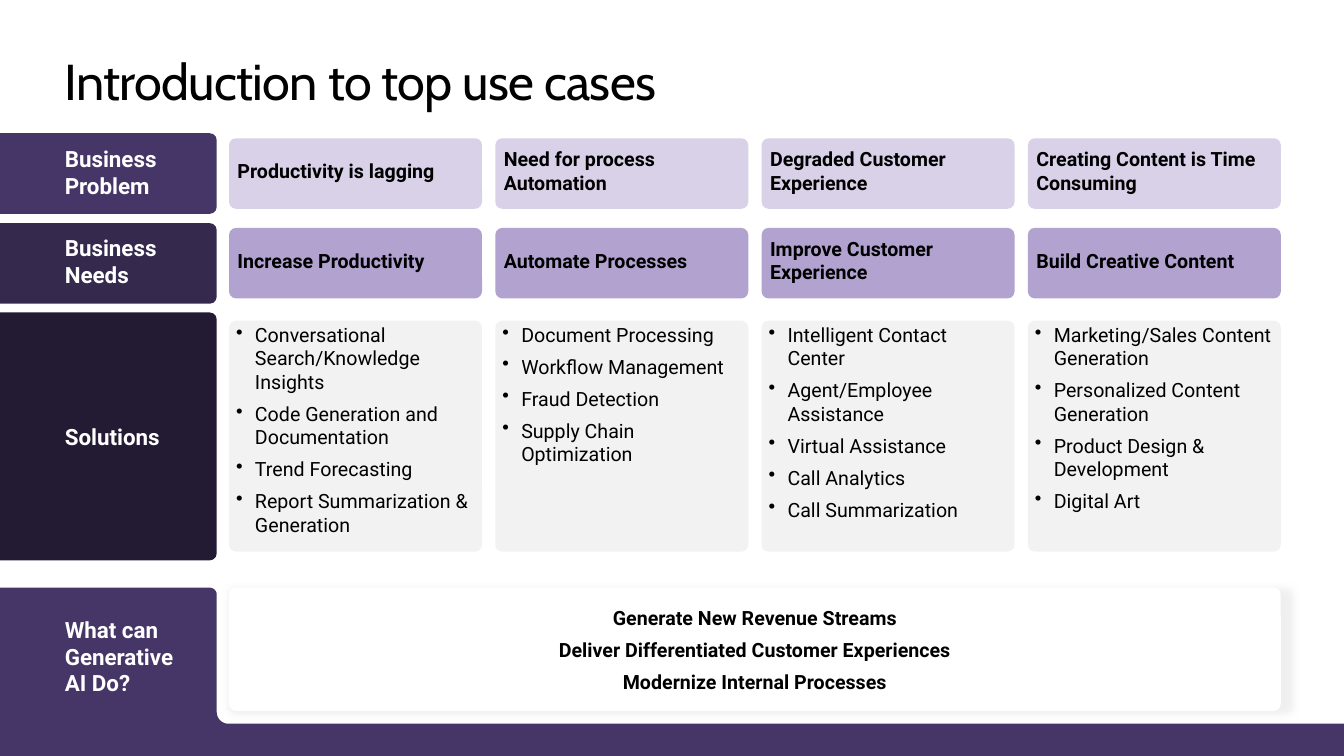
"""Build the slide that maps business problems to generative AI use cases."""

import math
from dataclasses import dataclass

import lxml.etree
import pptx
import pptx.dml.color
import pptx.enum.shapes
import pptx.enum.text
import pptx.oxml
import pptx.oxml.ns
import pptx.util

Pt = pptx.util.Pt
SHAPE = pptx.enum.shapes.MSO_SHAPE
ANCHOR = pptx.enum.text.MSO_ANCHOR
ALIGN = pptx.enum.text.PP_ALIGN

SLIDE_WIDTH, SLIDE_HEIGHT = 960, 540
TAB_WIDTH = 154.8
CORNER = 5
CARD_LEFT, CARD_WIDTH, CARD_PITCH = 163.6, 180.7, 190.2
PANEL_WIDTH = 3 * CARD_PITCH + CARD_WIDTH
FOOTER_TOP, FOOTER_BAR_TOP = 419.8, 517
BLACK, WHITE, PURPLE = "000000", "FFFFFF", "463668"


@dataclass
class Tab:
    label: str
    top: float
    height: float
    color: str
    label_middle: float


@dataclass
class Style:
    size: float = 14
    color: str = BLACK
    bold: bool = True
    family: str = "Roboto"
    align: ALIGN = ALIGN.LEFT
    anchor: ANCHOR = ANCHOR.MIDDLE
    bullets: bool = False


@dataclass
class CardRow:
    top: float
    height: float
    color: str
    style: Style
    insets: tuple[float, float]
    cards: list[list[str]]


BOLD = Style()
BULLETS = Style(bold=False, anchor=ANCHOR.TOP, bullets=True)
LABEL = Style(size=16, color=WHITE)

TABS = [
    Tab("Business Problem", 95.2, 57.6, PURPLE, 122.6),
    Tab("Business Needs", 159.4, 57.6, "35294E", 186.6),
    Tab("Solutions", 223.2, 177.1, "231B34", 311.8),
]
FOOTER_LABEL = "What can Generative AI Do?"
FOOTER_LABEL_MIDDLE = 468.6

ROWS = [
    CardRow(98.8, 50.4, "D8D1E7", BOLD, (4.6, 4), [
        ["Productivity is lagging"],
        ["Need for process Automation"],
        ["Degraded Customer Experience"],
        ["Creating Content is Time Consuming"],
    ]),
    CardRow(162.8, 50.4, "B1A2CF", BOLD, (4.6, 4), [
        ["Increase Productivity"],
        ["Automate Processes"],
        ["Improve Customer Experience"],
        ["Build Creative Content"],
    ]),
    CardRow(229, 165, "F2F2F2", BULLETS, (3.6, 0), [
        ["Conversational Search/Knowledge Insights", "Code Generation and Documentation",
         "Trend Forecasting", "Report Summarization & Generation"],
        ["Document Processing", "Workflow Management", "Fraud Detection",
         "Supply Chain Optimization"],
        ["Intelligent Contact Center", "Agent/Employee Assistance", "Virtual Assistance",
         "Call Analytics", "Call Summarization"],
        ["Marketing/Sales Content Generation", "Personalized Content Generation",
         "Product Design & Development", "Digital Art"],
    ]),
]
OUTCOMES = [
    "Generate New Revenue Streams",
    "Deliver Differentiated Customer Experiences",
    "Modernize Internal Processes",
]


def rgb(color: str) -> pptx.dml.color.RGBColor:
    """Turn a hex string into a colour."""
    return pptx.dml.color.RGBColor.from_string(color)


def paint(shape, color: str) -> None:
    """Give a shape a plain fill with no line and no shadow."""
    shape.shadow.inherit = False
    shape.fill.solid()
    shape.fill.fore_color.rgb = rgb(color)
    shape.line.fill.background()


def write(shape, lines: list[str], style: Style, side: float = 0, bottom: float = 0) -> None:
    """Fill a shape with one paragraph per line."""
    frame = shape.text_frame
    frame.word_wrap = True
    frame.vertical_anchor = style.anchor
    frame.margin_left = frame.margin_right = Pt(side)
    frame.margin_top, frame.margin_bottom = Pt(0), Pt(bottom)
    for index, line in enumerate(lines):
        paragraph = frame.add_paragraph() if index else frame.paragraphs[0]
        paragraph.add_run().text = line
        paragraph.alignment = style.align
        if index < len(lines) - 1:
            paragraph.space_after = Pt(6)
        if style.bullets:
            properties = paragraph._p.get_or_add_pPr()
            properties.set("marL", str(Pt(13.5)))
            properties.set("indent", str(Pt(-13.5)))
            bullet = lxml.etree.SubElement(properties, pptx.oxml.ns.qn("a:buChar"))
            bullet.set("char", "•")
        font = paragraph.font
        font.name, font.size, font.bold = style.family, Pt(style.size), style.bold
        font.color.rgb = rgb(style.color)


def add_card(slide, left: float, top: float, width: float, height: float, color: str):
    """Add a rounded card with the common corner radius."""
    card = slide.shapes.add_shape(
        SHAPE.ROUNDED_RECTANGLE, Pt(left), Pt(top), Pt(width), Pt(height))
    card.adjustments[0] = CORNER / min(width, height)
    paint(card, color)
    return card


def add_tab(slide, tab: Tab) -> None:
    """Add a tab on the left edge, rounded on its right side."""
    shape = slide.shapes.add_shape(
        SHAPE.ROUND_2_SAME_RECTANGLE,
        Pt((TAB_WIDTH - tab.height) / 2), Pt(tab.top + (tab.height - TAB_WIDTH) / 2),
        Pt(tab.height), Pt(TAB_WIDTH))
    shape.rotation = 90
    shape.adjustments[0] = CORNER / min(tab.height, TAB_WIDTH)
    paint(shape, tab.color)


def add_label(slide, label: str, middle: float) -> None:
    """Add a tab label centred on a height."""
    box = slide.shapes.add_textbox(Pt(46.3), Pt(middle - 30), Pt(95), Pt(60))
    write(box, [label], LABEL)


def arc(x: float, y: float, radius: float, start: int, end: int) -> list[tuple[float, float]]:
    """Return points along a quarter circle, angles in degrees."""
    angles = [math.radians(start + (end - start) * step / 12) for step in range(13)]
    return [(x + radius * math.cos(a), y + radius * math.sin(a)) for a in angles]


def add_footer(slide) -> None:
    """Add the last tab together with the bar along the bottom."""
    fillet = 8.4
    outline = [
        *arc(TAB_WIDTH - CORNER, FOOTER_TOP + CORNER, CORNER, -90, 0),
        *arc(TAB_WIDTH + fillet, FOOTER_BAR_TOP - fillet, fillet, 180, 90),
        (SLIDE_WIDTH, FOOTER_BAR_TOP), (SLIDE_WIDTH, SLIDE_HEIGHT), (0, SLIDE_HEIGHT),
    ]
    builder = slide.shapes.build_freeform(0, Pt(FOOTER_TOP))
    builder.add_line_segments([(Pt(x), Pt(y)) for x, y in outline], close=True)
    paint(builder.convert_to_shape(), PURPLE)


def add_outcomes(slide) -> None:
    """Add the white panel with its soft shadow."""
    panel = add_card(slide, CARD_LEFT, FOOTER_TOP, PANEL_WIDTH, 88, WHITE)
    effects = panel._element.spPr.find(pptx.oxml.ns.qn("a:effectLst"))
    effects.append(pptx.oxml.parse_xml(
        f'<a:outerShdw {pptx.oxml.ns.nsdecls("a")} blurRad="{Pt(5)}" dist="0" dir="0" '
        'sx="101000" sy="101000" algn="tl" rotWithShape="0">'
        '<a:srgbClr val="D9D9D9"><a:alpha val="40000"/></a:srgbClr></a:outerShdw>'))
    write(panel, OUTCOMES, Style(align=ALIGN.CENTER))


def main() -> None:
    """Draw the slide and save it."""
    deck = pptx.Presentation()
    deck.slide_width, deck.slide_height = Pt(SLIDE_WIDTH), Pt(SLIDE_HEIGHT)
    slide = deck.slides.add_slide(deck.slide_layouts[6])

    title = slide.shapes.add_textbox(Pt(46.3), Pt(36), Pt(867.6), Pt(43.9))
    write(title, ["Introduction to top use cases"],
          Style(size=36, bold=False, family="Cabin", anchor=ANCHOR.TOP))
    title.text_frame.paragraphs[0].runs[0]._r.get_or_add_rPr().set("spc", "-50")

    add_outcomes(slide)
    add_footer(slide)
    add_label(slide, FOOTER_LABEL, FOOTER_LABEL_MIDDLE)
    for tab in TABS:
        add_tab(slide, tab)
        add_label(slide, tab.label, tab.label_middle)
    for row in ROWS:
        for column, lines in enumerate(row.cards):
            left = CARD_LEFT + column * CARD_PITCH
            card = add_card(slide, left, row.top, CARD_WIDTH, row.height, row.color)
            write(card, lines, row.style, *row.insets)
    deck.save("out.pptx")


if __name__ == "__main__":
    main()
